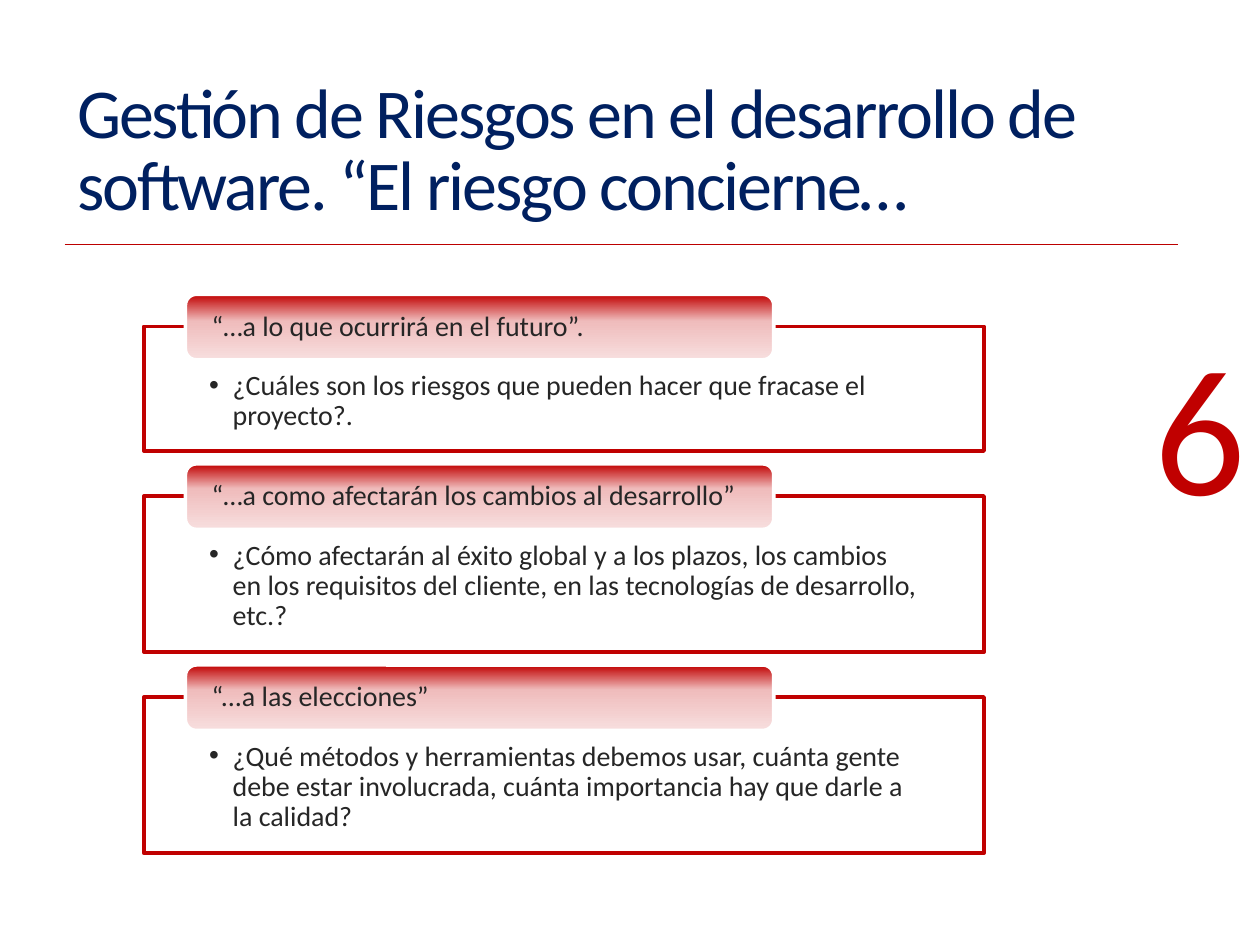
from pptx import Presentation
from pptx.dml.color import RGBColor
from pptx.enum.shapes import MSO_CONNECTOR, MSO_SHAPE
from pptx.enum.text import MSO_ANCHOR, MSO_AUTO_SIZE, PP_ALIGN
from pptx.oxml import parse_xml
from pptx.oxml.ns import qn
from pptx.util import Pt
from lxml import etree

LINE = MSO_CONNECTOR.STRAIGHT
RECT, ROUND_RECT = MSO_SHAPE.RECTANGLE, MSO_SHAPE.ROUNDED_RECTANGLE
TOP, MIDDLE, BOTTOM = MSO_ANCHOR.TOP, MSO_ANCHOR.MIDDLE, MSO_ANCHOR.BOTTOM
LEFT, RIGHT = PP_ALIGN.LEFT, PP_ALIGN.RIGHT
NO_FIT = MSO_AUTO_SIZE.NONE
A = "http://schemas.openxmlformats.org/drawingml/2006/main"
RED, NAVY, DARK, WHITE = "C00000", "002060", "262626", "FFFFFF"

PANELS = [
    ("“…a lo que ocurrirá en el futuro”.",
     "¿Cuáles son los riesgos que pueden hacer que fracase el proyecto?.", 71.3, 41),
    ("“…a como afectarán los cambios al desarrollo”",
     "¿Cómo afectarán al éxito global y a los plazos, los cambios en los requisitos "
     "del cliente, en las tecnologías de desarrollo, etc.?", 89.3, 38),
    ("“...a las elecciones”",
     "¿Qué métodos y herramientas debemos usar, cuánta gente debe estar involucrada, "
     "cuánta importancia hay que darle a la calidad?", 89.3, 38),
]


def rgb(value):
    return RGBColor.from_string(value)


class Deck:
    font = "Calibri"

    def __init__(self, prs):
        self.s = prs.slides.add_slide(prs.slide_layouts[5])

    def add_text(self, sp, text, size, color, anchor=TOP, align=LEFT, spacing=1.0,
                 insets=(7.2, 3.6, 7.2, 3.6)):
        tf = sp.text_frame
        tf.word_wrap = True
        tf.auto_size = NO_FIT
        tf.vertical_anchor = anchor
        tf.margin_left, tf.margin_top, tf.margin_right, tf.margin_bottom = map(Pt, insets)
        p = tf.paragraphs[0]
        p.alignment = align
        p.line_spacing = spacing
        r = p.add_run()
        r.text = text
        r.font.name = self.font
        r.font.size = Pt(size)
        r.font.color.rgb = rgb(color)
        return p, r

    def title(self, text, box):
        sp = self.s.shapes.title
        sp.left, sp.top, sp.width, sp.height = map(Pt, box)
        p, r = self.add_text(sp, text, 40, NAVY, MIDDLE, spacing=0.85)
        r.font._element.set("spc", "-120")

    def rule(self, x1, x2, y):
        cx = self.s.shapes.add_connector(LINE, Pt(x1), Pt(y), Pt(x2), Pt(y))
        cx.line.color.rgb = rgb("BC0000")
        cx.line.width = Pt(0.75)
        etree.SubElement(cx._element.spPr, qn("a:effectLst"))

    def number(self, text, box):
        sp = self.s.shapes.add_textbox(*map(Pt, box))
        self.add_text(sp, text, 103, RED, BOTTOM, RIGHT)

    def shape(self, kind, box, line):
        sp = self.s.shapes.add_shape(kind, *map(Pt, box))
        sp.shadow.inherit = False
        sp.fill.solid()
        sp.fill.fore_color.rgb = rgb(WHITE)
        sp.line.color.rgb = rgb(line)
        sp.line.width = Pt(2)
        return sp

    def panel(self, text, box):
        sp = self.shape(RECT, box, RED)
        color = sp._element.spPr.find(qn("a:solidFill"))[0]
        etree.SubElement(color, qn("a:alpha"), val="90000")
        p, r = self.add_text(sp, text, 16, DARK, spacing=0.9, insets=(37.3, 25.7, 37.3, 8.6))
        pPr = p._p.get_or_add_pPr()
        pPr.set("marL", str(Pt(13.5)))
        pPr.set("indent", str(-Pt(13.5)))
        etree.SubElement(pPr, qn("a:buFont"), typeface="Arial")
        etree.SubElement(pPr, qn("a:buChar"), char="•")

    def tab(self, text, box, middle):
        sp = self.shape(ROUND_RECT, box, WHITE)
        stops = "".join(
            f'<a:gs pos="{pos * 1000}"><a:srgbClr val="{color}"/></a:gs>'
            for pos, color in ((0, RED), (middle, "EFBCBC"), (100, "F7DEDE")))
        spPr = sp._element.spPr
        spPr.replace(spPr.find(qn("a:solidFill")), parse_xml(
            f'<a:gradFill xmlns:a="{A}" rotWithShape="1"><a:gsLst>{stops}</a:gsLst>'
            '<a:lin ang="5400000" scaled="0"/></a:gradFill>'))
        self.add_text(sp, text, 16, DARK, MIDDLE, spacing=0.9, insets=(13.2, 0, 13.2, 0))


def main():
    prs = Presentation()
    prs.slide_width, prs.slide_height = Pt(720), Pt(540)
    deck = Deck(prs)
    deck.rule(36.9, 673.2, 139.7)
    deck.title("Gestión de Riesgos en el desarrollo de software. “El riesgo concierne…",
               (36.9, 37.4, 638, 100))
    deck.number("6", (546.5, 224.6, 172.8, 82.8))
    top, gap = 186.5, 25.6
    for heading, question, height, middle in PANELS:
        deck.panel(question, (82.2, top, 480.2, height))
        deck.tab(heading, (106, top - 18.3, 336.2, 37.4), middle)
        top += height + gap
    prs.save("out.pptx")


if __name__ == "__main__":
    main()
